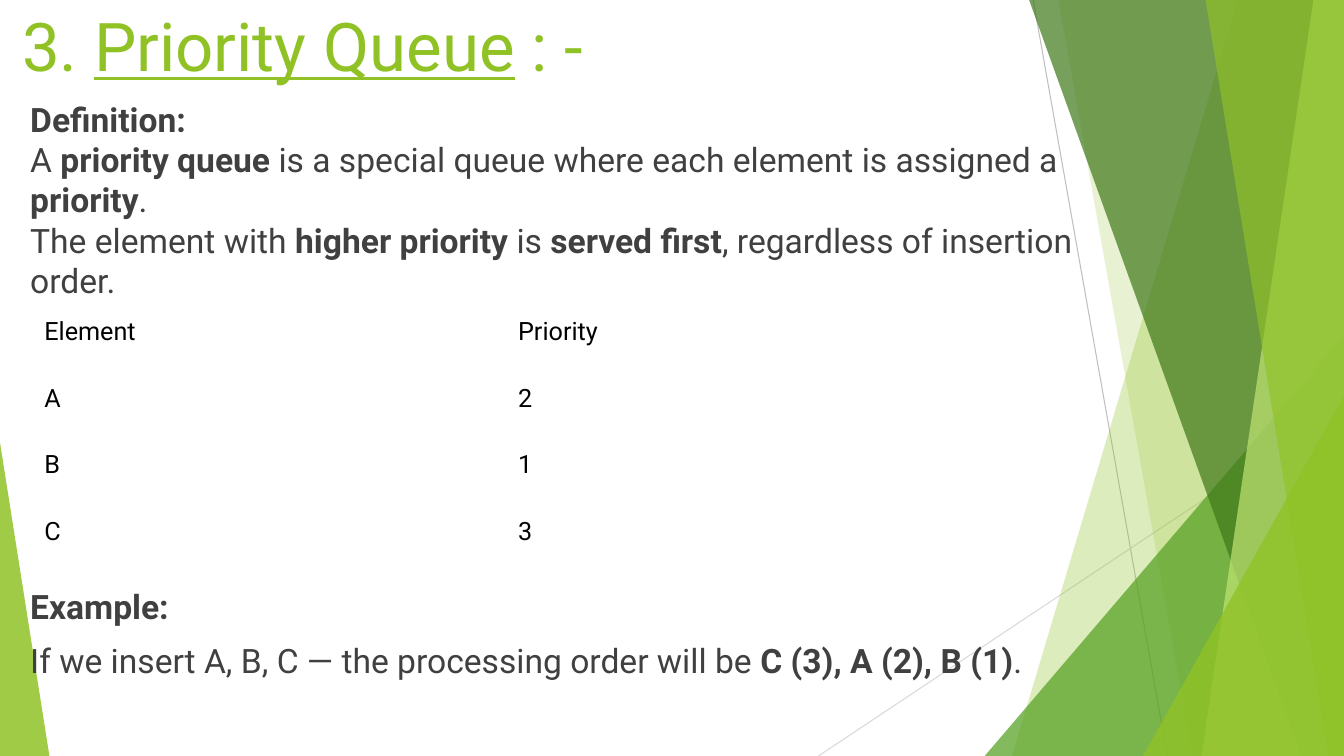
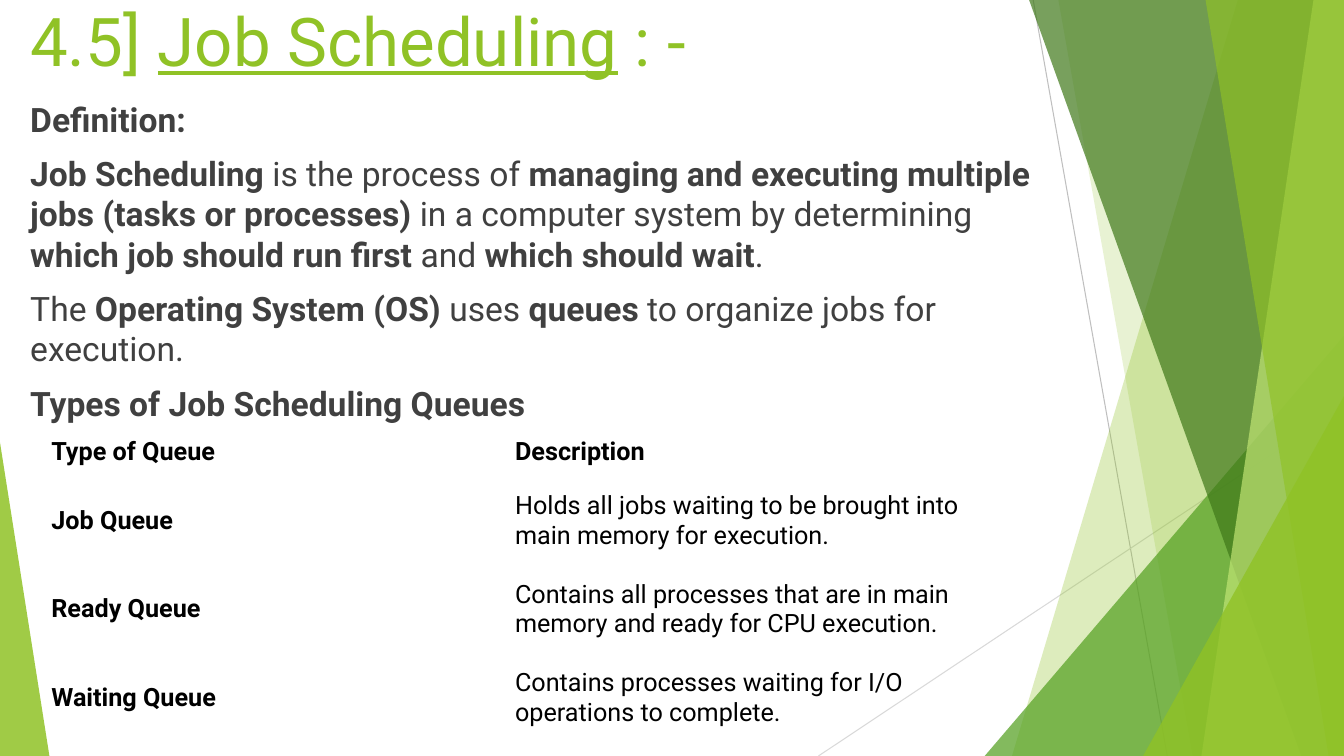
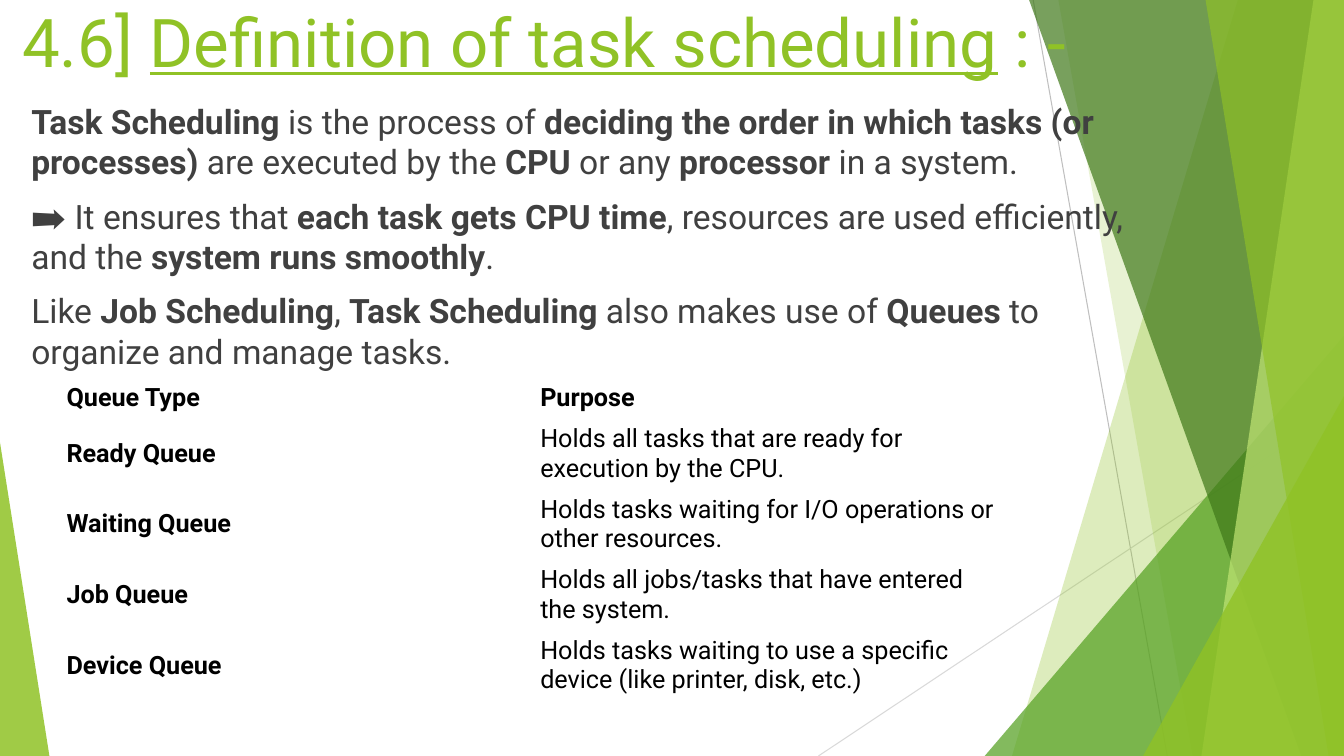
import pptx
import pptx.util
import pptx.dml.color
import pptx.enum.shapes
import pptx.enum.text
import pptx.oxml
import pptx.oxml.ns

Pt = pptx.util.Pt
SHAPE = pptx.enum.shapes.MSO_SHAPE
ANCHOR = pptx.enum.text.MSO_ANCHOR
WIDE, HIGH = 960, 540
LIME = "90C226"
PLAIN = "{2D5ABB26-0587-4C30-8999-92F81FD0307C}"

HEAD = {"name": "Roboto", "size": Pt(48)}
BODY = {"name": "Roboto", "size": Pt(24)}
CELL = {"name": "Roboto", "size": Pt(18)}
FRAME = {"word_wrap": True, "margin_left": 0, "margin_right": 0,
         "margin_top": 0, "margin_bottom": 0}
GRID = {"first_row": False, "horz_banding": False}

LINES = [(738, 0, 833.8, 540, "BFBFBF"), (960, 290.2, 584.6, 540, "D9D9D9")]


def put(item, values):
    for name, value in values.items():
        setattr(item, name, value)


def paint(form, code):
    form.rgb = pptx.dml.color.RGBColor.from_string(code)


def tint(shape, code, alpha):
    shape.shadow.inherit = False
    shape.line.fill.background()
    shape.fill.solid()
    paint(shape.fill.fore_color, code)
    shade = shape.fill._xPr.find(".//" + pptx.oxml.ns.qn("a:srgbClr"))
    node = pptx.oxml.parse_xml(
        f'<a:alpha {pptx.oxml.ns.nsdecls("a")} val="{alpha * 1000}"/>')
    shade.append(node)


def wedge(slide, top, foot, code, alpha):
    form = slide.shapes.build_freeform(Pt(top), 0)
    ends = [(WIDE, 0), (WIDE, HIGH), (foot, HIGH)]
    form.add_line_segments([(Pt(x), Pt(y)) for x, y in ends], close=True)
    tint(form.convert_to_shape(), code, alpha)


def corner(slide, left, top, width, peak, code, alpha):
    shape = slide.shapes.add_shape(SHAPE.ISOSCELES_TRIANGLE, Pt(left), Pt(top),
                                   Pt(width), Pt(HIGH - top))
    shape.adjustments[0] = peak
    tint(shape, code, alpha)


def rule(slide, left, top, right, foot, code):
    kind = pptx.enum.shapes.MSO_CONNECTOR.STRAIGHT
    line = slide.shapes.add_connector(kind, Pt(left), Pt(top), Pt(right), Pt(foot))
    line.line.width = Pt(0.75)
    paint(line.line.color, code)
    line._element.spPr.append(pptx.oxml.parse_xml(
        f'<a:effectLst {pptx.oxml.ns.nsdecls("a")}/>'))


def facets(slide):
    for line in LINES:
        rule(slide, *line)
    wedge(slide, 884.2, 722.9, LIME, 30)
    wedge(slide, 756, 851.8, LIME, 20)
    corner(slide, 703.4, 239.8, 256.6, 1, "54A021", 72)
    wedge(slide, 735.1, 929.5, "3F7819", 70)
    wedge(slide, 938.2, 858.2, "C0E474", 70)
    wedge(slide, 861.1, 949, LIME, 65)
    corner(slide, 816.5, 283, 143.5, 1, LIME, 80)
    corner(slide, 0, 316.1, 35.3, 0, LIME, 85)


def write(para, text, font, code, mark):
    for place, part in enumerate(text.split("**")):
        for step, piece in enumerate(part.split("\n")):
            if step:
                para.add_line_break()
            if piece:
                run = para.add_run()
                run.text = piece
                put(run.font, {**font, mark: place % 2 == 1})
                paint(run.font.color, code)


def box(slide, left, top, width, height):
    frame = slide.shapes.add_textbox(Pt(left), Pt(top), Pt(width), Pt(height)).text_frame
    put(frame, FRAME)
    return frame


def title(slide, left, height, width, text):
    frame = box(slide, left, 0, width, height)
    frame.vertical_anchor = ANCHOR.MIDDLE
    write(frame.paragraphs[0], text, HEAD, LIME, "underline")


def body(slide, left, top, width, height, texts):
    frame = box(slide, left, top, width, height)
    for place, text in enumerate(texts):
        para = frame.add_paragraph() if place else frame.paragraphs[0]
        para.space_before = Pt(10 if place else 0)
        write(para, text, BODY, "404040", "bold")


def table(slide, left, top, width, highs, rows, strong=True):
    size = len(rows), len(rows[0])
    grid = slide.shapes.add_table(*size, Pt(left), Pt(top), Pt(width),
                                  Pt(sum(highs))).table
    put(grid, GRID)
    grid._tbl.tblPr.find(pptx.oxml.ns.qn("a:tableStyleId")).text = PLAIN
    for down, row in enumerate(rows):
        grid.rows[down].height = Pt(highs[down])
        for over, text in enumerate(row):
            cell = grid.cell(down, over)
            cell.fill.background()
            cell.vertical_anchor = ANCHOR.MIDDLE
            bold = strong and (down == 0 or over == 0)
            write(cell.text_frame.paragraphs[0], f"**{text}**" if bold else text,
                  CELL, "000000", "bold")


def queue(slide):
    title(slide, 15.8, 64, 662, "3. **Priority Queue** : -")
    body(slide, 21.6, 70.5, 777.6, 142, [
        "**Definition:\n**A **priority queue** is a special queue where each element "
        "is assigned a **priority**.\nThe element with **higher priority** is "
        "**served first**, regardless of insertion order."])
    body(slide, 21.6, 418.5, 777.6, 67, [
        "**Example:**",
        "If we insert A, B, C — the processing order will be **C (3), A (2), B (1)**."])
    table(slide, 24.5, 213.1, 676.8, [47.7] * 4, [
        ("Element", "Priority"), ("A", "2"), ("B", "1"), ("C", "3")], strong=False)


def jobs(slide):
    title(slide, 21.6, 56.5, 662, "4.5] **Job Scheduling** : -")
    body(slide, 21.6, 70.5, 733, 228, [
        "**Definition:**",
        "**Job Scheduling** is the process of **managing and executing multiple jobs "
        "(tasks or processes)** in a computer system by determining **which job should "
        "run first** and **which should wait**.",
        "The **Operating System (OS)** uses **queues** to organize jobs for execution.",
        "**Types of Job Scheduling Queues**"])
    table(slide, 29.5, 304.6, 662.4, [36] + [63.1] * 3, [
        ("Type of Queue", "Description"),
        ("Job Queue", "Holds all jobs waiting to be brought into main memory for execution."),
        ("Ready Queue",
         "Contains all processes that are in main memory and ready for CPU execution."),
        ("Waiting Queue", "Contains processes waiting for I/O operations to complete.")])


def tasks(slide):
    title(slide, 15.8, 57.5, 784, "4.6] **Definition of task scheduling** : -")
    body(slide, 22.4, 72, 784, 190, [
        "**Task Scheduling** is the process of **deciding the order in which tasks (or "
        "processes)** are executed by the **CPU** or any **processor** in a system.",
        "➡️ It ensures that **each task gets CPU time**, resources are used efficiently, "
        "and the **system runs smoothly**.",
        "Like **Job Scheduling**, **Task Scheduling** also makes use of **Queues** to "
        "organize and manage tasks."])
    table(slide, 40.3, 270, 676.8, [28.3] + [49.4] * 4, [
        ("Queue Type", "Purpose"),
        ("Ready Queue", "Holds all tasks that are ready for execution by the CPU."),
        ("Waiting Queue", "Holds tasks waiting for I/O operations or other resources."),
        ("Job Queue", "Holds all jobs/tasks that have entered the system."),
        ("Device Queue",
         "Holds tasks waiting to use a specific device (like printer, disk, etc.)")])


def main():
    deck = pptx.Presentation()
    put(deck, {"slide_width": Pt(WIDE), "slide_height": Pt(HIGH)})
    for fill in (queue, jobs, tasks):
        slide = deck.slides.add_slide(deck.slide_layouts[6])
        facets(slide)
        fill(slide)
    deck.save("out.pptx")


if __name__ == "__main__":
    main()
